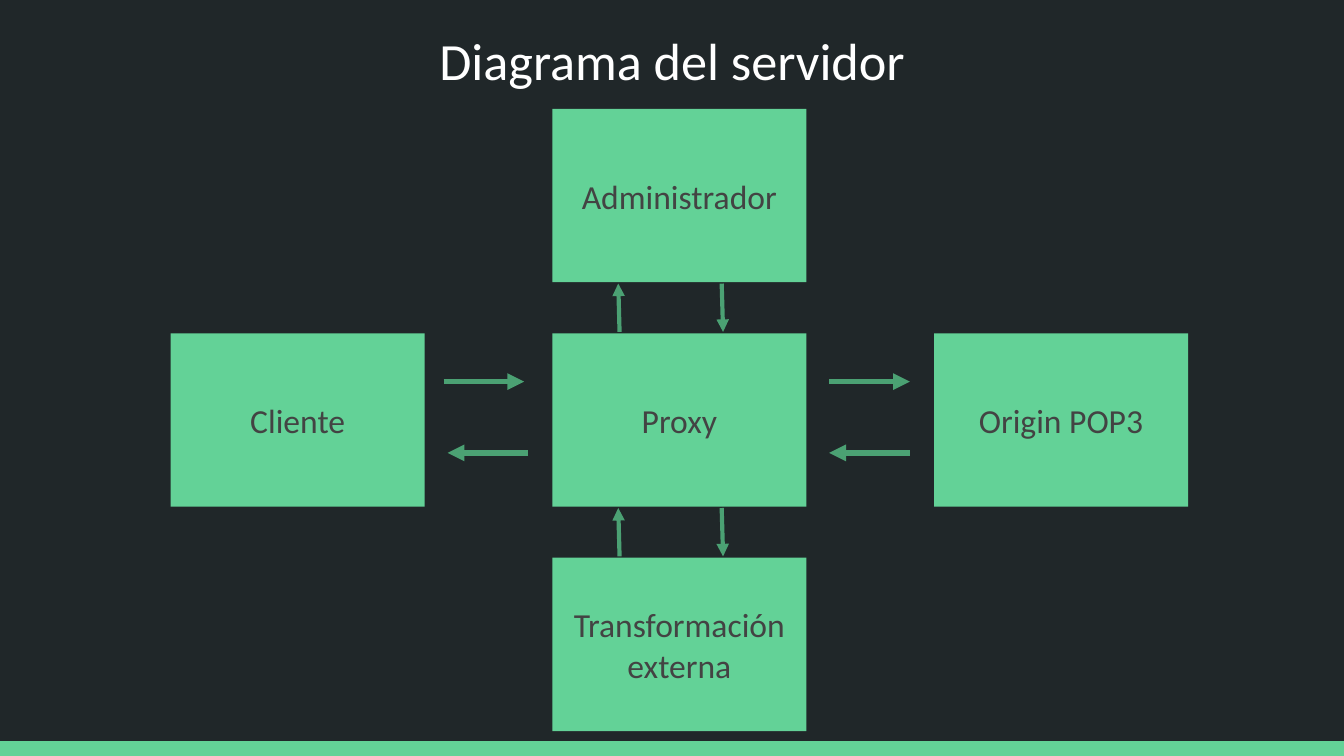
from pptx import Presentation
from pptx.dml.color import RGBColor
from pptx.enum.shapes import MSO_CONNECTOR as CONNECTOR, MSO_SHAPE as SHAPE
from pptx.enum.text import MSO_ANCHOR as ANCHOR, PP_ALIGN as ALIGN
from pptx.oxml.ns import qn
from pptx.util import Inches, Pt
from lxml.etree import SubElement

WIDTH = 10
HEIGHT = WIDTH * 9 / 16
GREEN, ARROW_GREEN = "63D297", "4BA173"
LEFT, TOP = 1.27, 0.81               # origin of the 3 x 3 grid
COLUMN_STEP, ROW_STEP = 2.84, 1.67
BOX_WIDTH, BOX_HEIGHT = 1.89, 1.29
BAND = 0.11


def color(value):
    return RGBColor.from_string(value)


def write(shape, text, size, text_color, anchor):
    frame = shape.text_frame
    frame.word_wrap = True
    frame.vertical_anchor = anchor
    frame.margin_left = frame.margin_right = Inches(0.1)
    frame.margin_top = frame.margin_bottom = Inches(0.1)
    paragraph = frame.paragraphs[0]
    paragraph.text = text
    paragraph.alignment = ALIGN.CENTER
    paragraph.font.name = "Calibri"
    paragraph.font.size = Pt(size)
    paragraph.font.color.rgb = color(text_color)


presentation = Presentation()
presentation.slide_width = Inches(WIDTH)
presentation.slide_height = Inches(HEIGHT)
slide = presentation.slides.add_slide(presentation.slide_layouts[6])
slide.background.fill.solid()
slide.background.fill.fore_color.rgb = color("202729")

# Title
title = slide.shapes.add_textbox(Inches(0.34), Inches(0.11), Inches(WIDTH - 0.68), Inches(0.63))
write(title, "Diagrama del servidor", 28, "FFFFFF", ANCHOR.TOP)

# Bottom band and the boxes of the grid
rectangles = [("", 0, HEIGHT - BAND, WIDTH, BAND)]
for text, column, row in [
    ("Cliente", 0, 1),
    ("Proxy", 1, 1),
    ("Origin POP3", 2, 1),
    ("Transformación externa", 1, 2),
    ("Administrador", 1, 0),
]:
    rectangles.append((text, LEFT + column * COLUMN_STEP, TOP + row * ROW_STEP,
                       BOX_WIDTH, BOX_HEIGHT))

for text, *bounds in rectangles:
    shape = slide.shapes.add_shape(SHAPE.RECTANGLE, *map(Inches, bounds))
    shape.shadow.inherit = False
    shape.fill.solid()
    shape.fill.fore_color.rgb = color(GREEN)
    shape.line.fill.background()
    if text:
        write(shape, text, 18, "434343", ANCHOR.MIDDLE)

# Arrows: a pair in each gap, one for each direction
arrows = []
for right_start, left_end in [(3.3, 3.33), (6.17, 6.17)]:
    arrows.append((right_start, 2.84, right_start + 0.6, 2.84, 3))
    arrows.append((left_end + 0.6, 3.37, left_end, 3.37, 3))
for row in range(2):
    upper = TOP + BOX_HEIGHT + row * ROW_STEP + 0.01
    lower = TOP + (row + 1) * ROW_STEP - 0.01
    arrows.append((4.61, lower, 4.6, upper, 2.25))
    arrows.append((5.37, upper, 5.38, lower, 2.25))

for *ends, weight in arrows:
    arrow = slide.shapes.add_connector(CONNECTOR.STRAIGHT, *map(Inches, ends))
    arrow.line.color.rgb = color(ARROW_GREEN)
    arrow.line.width = Pt(weight)
    SubElement(arrow.line._get_or_add_ln(), qn("a:tailEnd"), type="triangle")
    SubElement(arrow._element.spPr, qn("a:effectLst"))

presentation.save("out.pptx")
